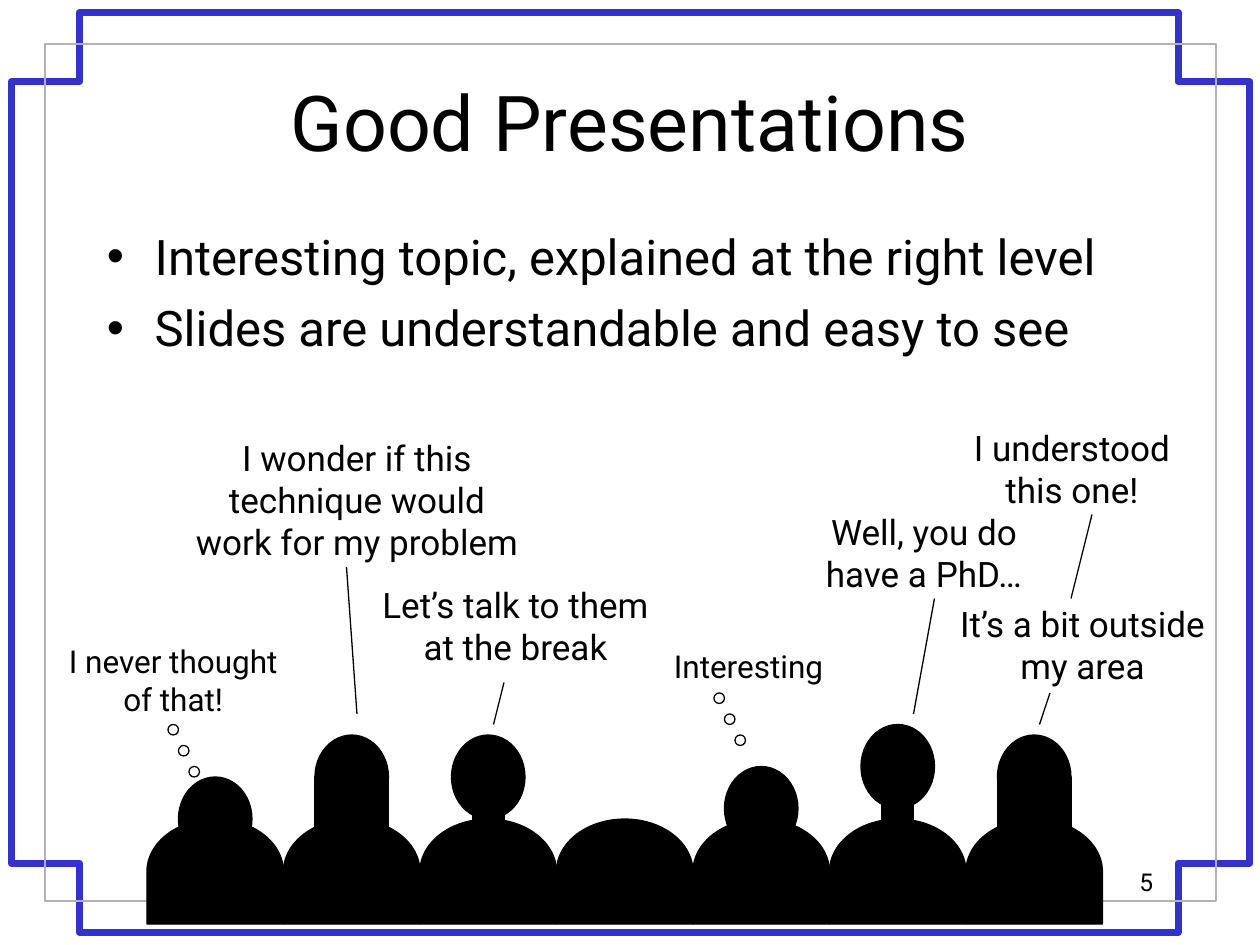
from typing import NamedTuple, Optional
from lxml.etree import SubElement
from pptx import Presentation
from pptx.dml.color import RGBColor
from pptx.enum.shapes import MSO_CONNECTOR as Conn, MSO_SHAPE as Shape
from pptx.enum.text import MSO_ANCHOR as Anchor, MSO_AUTO_SIZE as Auto, PP_ALIGN as Align
from pptx.oxml.ns import qn
from pptx.util import Inches, Pt

COLS, ROWS = 120, 90
BLACK, BLUE, GREY = "000000", "3333CC", "B2B2B2"
FONT = "Roboto"

prs = Presentation()
prs.slide_width, prs.slide_height = Inches(10), Inches(7.5)
s = prs.slides.add_slide(prs.slide_layouts[5])


class Person(NamedTuple):
    head: Optional[int] = None
    hair: bool = False
    neck: bool = False


class Speech(NamedTuple):
    text: str
    x: float
    y: float
    w: float
    h: float
    size: int = 20
    align: Align = Align.CENTER


class Pointer(NamedTuple):
    x1: float
    y1: float
    x2: float
    y2: float


class Thought(NamedTuple):
    x: float
    y: float


AUDIENCE = [
    Person(head=74),
    Person(head=70, hair=True),
    Person(head=70, neck=True),
    Person(),
    Person(head=73),
    Person(head=69, neck=True),
    Person(head=70, hair=True),
]
SPEECHES = [
    Speech("Interesting", 63, 61, 17, 8.4, 18, Align.LEFT),
    Speech("I understood this one!", 89, 40, 26.2, 9.2),
    Speech("Well, you do have a PhD…", 76, 48, 24, 9.2),
    Speech("I wonder if this technique would work for my problem", 17, 41, 34, 17.3),
    Speech("Let’s talk to them at the break", 35, 55, 28.2, 13.2),
    Speech("I never thought of that!", 4, 60.6, 25, 8.4, 18),
    Speech("It’s a bit outside my area", 90, 56.8, 26.2, 13.2),
]
POINTERS = [
    Pointer(99, 69, 100, 66),
    Pointer(87, 68, 89, 57),
    Pointer(34, 68, 33, 54),
    Pointer(47, 69, 48, 65),
    Pointer(102, 57, 104, 49),
]
THOUGHTS = [Thought(68, 66), Thought(16, 69)]


def col(n: float) -> int:
    return round(prs.slide_width * n / COLS)


def row(n: float) -> int:
    return round(prs.slide_height * n / ROWS)


def rgb(color: str) -> RGBColor:
    return RGBColor.from_string(color)


def set_line(sp, color: str, width: float) -> None:
    sp.line.color.rgb = rgb(color)
    sp.line.width = Pt(width)


def add_run(p, text: str, size: int) -> None:
    r = p.add_run()
    r.text = text
    r.font.name, r.font.size = FONT, Pt(size)
    r.font.color.rgb = rgb(BLACK)


def draw_frame(points: list[tuple[float, float]], color: str, width: float) -> None:
    (x, y), *rest = [(Inches(px), Inches(py)) for px, py in points]
    builder = s.shapes.build_freeform(x, y)
    builder.add_line_segments(rest, close=True)
    sp = builder.convert_to_shape()
    sp.shadow.inherit = False
    sp.fill.background()
    set_line(sp, color, width)
    SubElement(sp.line._get_or_add_ln(), qn("a:round"))


def draw_shape(kind: Shape, x: float, y: float, w: float, h: float, fill: Optional[str] = BLACK):
    sp = s.shapes.add_shape(kind, col(x), row(y), col(w), row(h))
    sp.shadow.inherit = False
    if fill:
        sp.fill.solid()
        sp.fill.fore_color.rgb = rgb(fill)
    else:
        sp.fill.background()
    set_line(sp, BLACK, 0.75)
    return sp


def draw_person(seat: int, person: Person) -> None:
    x = 17 + 13 * seat
    draw_shape(Shape.FLOWCHART_DELAY, x - 1.5, 76.5, 10, 13).rotation = 270
    if person.head is None:
        return
    draw_shape(Shape.OVAL, x, person.head, 7, 8)
    if person.hair:
        draw_shape(Shape.RECTANGLE, x, person.head + 4, 7, 9)
    if person.neck:
        draw_shape(Shape.RECTANGLE, x + 2, person.head + 4, 3, 9)


def draw_text(sp: Speech):
    tf = s.shapes.add_textbox(col(sp.x), row(sp.y), col(sp.w), row(sp.h)).text_frame
    tf.word_wrap = True
    p = tf.paragraphs[0]
    p.alignment = sp.align
    add_run(p, sp.text, sp.size)


def draw_pointer(line: Pointer) -> None:
    cx = s.shapes.add_connector(Conn.STRAIGHT, col(line.x1), row(line.y1), col(line.x2), row(line.y2))
    set_line(cx, BLACK, 0.75)
    SubElement(cx._element.spPr, qn("a:effectLst"))


def draw_thought(thought: Thought) -> None:
    for step in range(3):
        draw_shape(Shape.OVAL, thought.x + step, thought.y + 2 * step, 1, 1, None)


def draw_title(text: str) -> None:
    sp = s.shapes.title
    sp.left, sp.top, sp.width, sp.height = col(9), row(4), col(102), row(15)
    tf = sp.text_frame
    tf.auto_size, tf.vertical_anchor = Auto.NONE, Anchor.MIDDLE
    p = tf.paragraphs[0]
    p.alignment = Align.CENTER
    add_run(p, text, 44)


def draw_bullets(items: list[str]) -> None:
    tf = s.shapes.add_textbox(col(9), row(21), col(102), row(59)).text_frame
    tf.word_wrap = True
    for i, item in enumerate(items):
        p = tf.add_paragraph() if i else tf.paragraphs[0]
        p.space_before = Pt(7)
        add_run(p, item, 28)
        pPr = p._p.get_or_add_pPr()
        pPr.set("marL", str(Inches(0.38)))
        pPr.set("indent", str(-Inches(0.38)))
        SubElement(pPr, qn("a:buFont"), typeface="Arial")
        SubElement(pPr, qn("a:buChar"), char="•")


def main() -> None:
    x1, x2, x3, x4 = 0.09, 0.63, 9.35, 9.92
    y1, y2, y3, y4 = 0.1, 0.65, 6.85, 7.4
    draw_frame([(x1, y2), (x2, y2), (x2, y1), (x3, y1), (x3, y2), (x4, y2),
                (x4, y3), (x3, y3), (x3, y4), (x2, y4), (x2, y3), (x1, y3)], BLUE, 4)
    draw_frame([(0.36, 0.35), (9.65, 0.35), (9.65, 7.15), (0.36, 7.15)], GREY, 1)
    draw_title("Good Presentations")
    draw_bullets(["Interesting topic, explained at the right level",
                  "Slides are understandable and easy to see"])
    for seat, person in enumerate(AUDIENCE):
        draw_person(seat, person)
    for speech in SPEECHES:
        draw_text(speech)
    for pointer in POINTERS:
        draw_pointer(pointer)
    for thought in THOUGHTS:
        draw_thought(thought)
    draw_text(Speech("5", 86, 82, 25, 6, 14, Align.RIGHT))
    prs.save("out.pptx")


if __name__ == "__main__":
    main()
